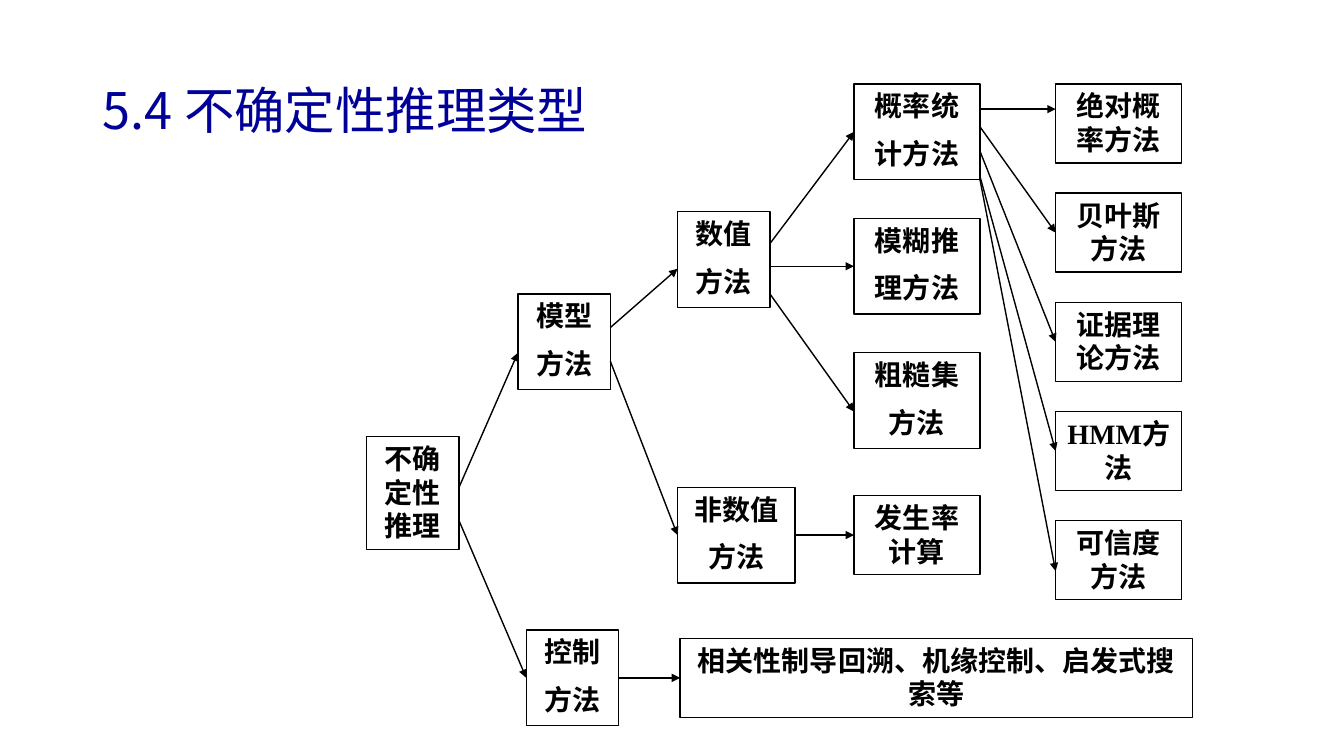
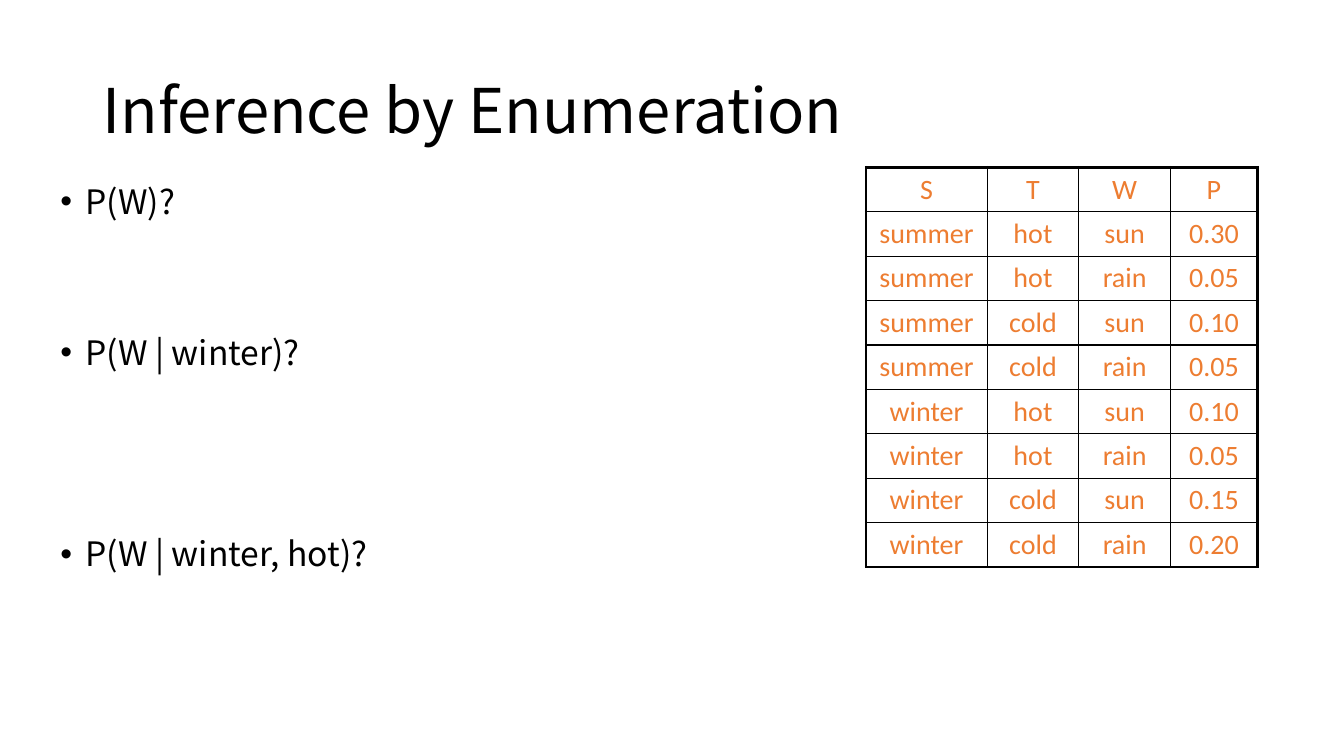
import dataclasses
from typing import Optional, Sequence, Union

import lxml.etree
import pptx
import pptx.dml.color
import pptx.enum.shapes
import pptx.enum.text
import pptx.oxml.ns
import pptx.util

Inches = pptx.util.Inches
Pt = pptx.util.Pt
RGBColor = pptx.dml.color.RGBColor
Align = pptx.enum.text.PP_ALIGN
qn = pptx.oxml.ns.qn

BLACK = RGBColor(0x00, 0x00, 0x00)
NAVY = RGBColor(0x00, 0x00, 0x99)
ORANGE = RGBColor(0xED, 0x7D, 0x31)
SANS = "Noto Sans CJK SC"
SERIF = "Times New Roman"
TABLE_FONT = "Calibri"

SLIDE_WIDTH, SLIDE_HEIGHT = 13.33, 7.5
GRID_ROWS = 90
UNIT = SLIDE_HEIGHT / GRID_ROWS
GRID_LEFT = -0.03
TITLE_LAYOUT, LIST_LAYOUT = 5, 1
LEFT_SIDE, RIGHT_SIDE = 1, 3

WRAPPED, SPACED, TALL = 9.4, 11.4, 13.4


@dataclasses.dataclass(frozen=True)
class Node:
    """A box of the tree; lengths are in grid units."""
    lines: tuple[str, ...]
    column: float
    row: float
    width: float = 15
    height: float = SPACED

    @property
    def right(self) -> float:
        return self.column + self.width

    @property
    def middle(self) -> float:
        return self.row + self.height / 2


@dataclasses.dataclass(frozen=True)
class Arrow:
    """Runs from the right side of one node to the left side of another."""
    source: str
    target: str
    start_row: float
    end_row: float


LEAVES = {"absolute": "绝对概率方法", "bayes": "贝叶斯方法", "evidence": "证据理论方法",
          "hmm": "HMM方法", "certainty": "可信度方法"}
LEAF_STEP = 13

NODES = {
    "uncertain": Node(("不确定性推理",), 44, 52, 11, TALL),
    "model": Node(("模型", "方法"), 62, 35, 11),
    "control": Node(("控制", "方法"), 63, 75, 11),
    "numeric": Node(("数值", "方法"), 81, 25.2, 11),
    "symbolic": Node(("非数值", "方法"), 81, 58, 14),
    "statistics": Node(("概率统", "计方法"), 102, 10),
    "fuzzy": Node(("模糊推", "理方法"), 102, 26),
    "rough": Node(("粗糙集", "方法"), 102, 42),
    "incidence": Node(("发生率计算",), 102, 59, height=WRAPPED),
    "strategies": Node(("相关性制导回溯、机缘控制、启发式搜索等",), 81.3, 76, 61, WRAPPED),
    **{name: Node((text,), 126, 10 + index * LEAF_STEP, height=WRAPPED)
       for index, (name, text) in enumerate(LEAVES.items())},
}

ARROWS = (
    Arrow("uncertain", "model", 58, 42),
    Arrow("uncertain", "control", 62, 80),
    Arrow("model", "numeric", 39, 32),
    Arrow("model", "symbolic", 43, 63),
    Arrow("numeric", "statistics", 29, 16),
    Arrow("numeric", "fuzzy", 31.7, 31.7),
    Arrow("numeric", "rough", 35, 49),
    Arrow("symbolic", "incidence", 64, 64),
    Arrow("control", "strategies", 80.7, 80.7),
    Arrow("statistics", "absolute", 13, 13),
    Arrow("statistics", "bayes", 15.1, 28),
    Arrow("statistics", "evidence", 18, 41),
    Arrow("statistics", "hmm", 21, 54),
    Arrow("statistics", "certainty", 21.4, 68),
)

QUESTIONS = ("P(W)?", "P(W | winter)?", "P(W | winter, hot)?")
QUESTION_GAPS = (0, 82, 118)

TABLE_COLUMNS = (1.2, 0.91, 0.91, 0.86)
TABLE_ROW = 0.44
TABLE_ROWS = (
    ("S", "T", "W", "P"),
    ("summer", "hot", "sun", "0.30"),
    ("summer", "hot", "rain", "0.05"),
    ("summer", "cold", "sun", "0.10"),
    ("summer", "cold", "rain", "0.05"),
    ("winter", "hot", "sun", "0.10"),
    ("winter", "hot", "rain", "0.05"),
    ("winter", "cold", "sun", "0.15"),
    ("winter", "cold", "rain", "0.20"),
)


def grid_x(column: float) -> int:
    return Inches(GRID_LEFT + column * UNIT)


def grid_y(row: float) -> int:
    return Inches(row * UNIT)


def write_text(text_frame, lines: Sequence[str], *, size: float, font: str,
               color: RGBColor = BLACK, bold: bool = False,
               align: Align = Align.LEFT,
               line_spacing: Optional[Union[float, pptx.util.Length]] = None,
               gaps: Sequence[float] = (), hanging: float = 0) -> None:
    """Write one paragraph per line; gaps are the points before each of them."""
    text_frame.word_wrap = True
    for index, line in enumerate(lines):
        paragraph = text_frame.paragraphs[0] if index == 0 else text_frame.add_paragraph()
        paragraph.alignment = align
        paragraph.space_before = Pt(gaps[index] if gaps else 0)
        if line_spacing:
            paragraph.line_spacing = line_spacing
        if hanging:
            properties = paragraph._p.get_or_add_pPr()
            properties.set("marL", str(Inches(hanging)))
            properties.set("indent", str(-Inches(hanging)))
        run = paragraph.add_run()
        run.text = line
        run.font.size = Pt(size)
        run.font.bold = bold
        run.font.color.rgb = color
        run.font.name = font
        east_asian = lxml.etree.SubElement(run._r.get_or_add_rPr(), qn("a:ea"))
        east_asian.set("typeface", SANS)


def place(shape, left: float, top: float, width: float, height: float) -> None:
    shape.left, shape.top = Inches(left), Inches(top)
    shape.width, shape.height = Inches(width), Inches(height)


def add_titled_slide(presentation, layout: int, title: str, *, size: float,
                     color: RGBColor = BLACK):
    slide = presentation.slides.add_slide(presentation.slide_layouts[layout])
    shape = slide.shapes.title
    place(shape, 0.92, 0.4, 11.5, 1.45)
    shape.text_frame.auto_size = pptx.enum.text.MSO_AUTO_SIZE.NONE
    shape.text_frame.vertical_anchor = pptx.enum.text.MSO_ANCHOR.MIDDLE
    write_text(shape.text_frame, [title], size=size, font=SANS, color=color,
               line_spacing=0.9)
    return slide


def add_node(slide, node: Node):
    shape = slide.shapes.add_shape(
        pptx.enum.shapes.MSO_SHAPE.RECTANGLE, grid_x(node.column), grid_y(node.row),
        grid_y(node.width), grid_y(node.height))
    shape.shadow.inherit = False
    shape.fill.background()
    shape.line.color.rgb = BLACK
    shape.line.width = Pt(1)
    shape.text_frame.vertical_anchor = pptx.enum.text.MSO_ANCHOR.TOP
    write_text(shape.text_frame, node.lines, size=20, font=SERIF, bold=True,
               align=Align.CENTER, line_spacing=Pt(24), gaps=(0, 10))
    return shape


def add_arrow(slide, arrow: Arrow, boxes: dict) -> None:
    """Draw an arrow, joined to a box where it meets the middle of its side."""
    source, target = NODES[arrow.source], NODES[arrow.target]
    connector = slide.shapes.add_connector(
        pptx.enum.shapes.MSO_CONNECTOR.STRAIGHT,
        grid_x(source.right), grid_y(arrow.start_row),
        grid_x(target.column), grid_y(arrow.end_row))
    if abs(arrow.start_row - source.middle) < 0.5:
        connector.begin_connect(boxes[arrow.source], RIGHT_SIDE)
    if abs(arrow.end_row - target.middle) < 0.9:
        connector.end_connect(boxes[arrow.target], LEFT_SIDE)
    connector.line.color.rgb = BLACK
    connector.line.width = Pt(1)
    lxml.etree.SubElement(connector.line._get_or_add_ln(), qn("a:tailEnd")).set("type", "triangle")
    lxml.etree.SubElement(connector._element.spPr, qn("a:effectLst"))


def set_borders(cell, widths: dict[str, float]) -> None:
    """Set the cell's lines; widths maps L, R, T, B, in that order, to points."""
    properties = cell._tc.get_or_add_tcPr()
    for index, (side, width) in enumerate(widths.items()):
        line = lxml.etree.Element(qn(f"a:ln{side}"), w=str(Pt(width)))
        fill = lxml.etree.SubElement(line, qn("a:solidFill"))
        lxml.etree.SubElement(fill, qn("a:srgbClr")).set("val", str(BLACK))
        properties.insert(index, line)


def add_probability_table(slide) -> None:
    row_count, column_count = len(TABLE_ROWS), len(TABLE_COLUMNS)
    table = slide.shapes.add_table(
        row_count, column_count, Inches(8.59), Inches(1.66),
        Inches(sum(TABLE_COLUMNS)), Inches(TABLE_ROW * row_count)).table
    table.first_row = table.horz_banding = False
    for column, width in zip(table.columns, TABLE_COLUMNS):
        column.width = Inches(width)
    for row_index, values in enumerate(TABLE_ROWS):
        table.rows[row_index].height = Inches(TABLE_ROW)
        for column_index, value in enumerate(values):
            cell = table.cell(row_index, column_index)
            cell.fill.background()
            write_text(cell.text_frame, [value], size=20, font=TABLE_FONT,
                       color=ORANGE, align=Align.CENTER)
            outer = {"L": column_index == 0, "R": column_index == column_count - 1,
                     "T": row_index == 0, "B": row_index == row_count - 1}
            set_borders(cell, {side: 2.25 if edge else 1 for side, edge in outer.items()})


def build_types_slide(presentation) -> None:
    slide = add_titled_slide(presentation, TITLE_LAYOUT, "5.4 不确定性推理类型",
                             size=36, color=NAVY)
    boxes = {name: add_node(slide, node) for name, node in NODES.items()}
    for arrow in ARROWS:
        add_arrow(slide, arrow, boxes)


def build_enumeration_slide(presentation) -> None:
    slide = add_titled_slide(presentation, LIST_LAYOUT, "Inference by Enumeration", size=44)
    body = slide.placeholders[1]
    place(body, 0.5, 1.78, 4.42, 4.95)
    body.text_frame.auto_size = pptx.enum.text.MSO_AUTO_SIZE.NONE
    write_text(body.text_frame, QUESTIONS, size=24, font=SANS, line_spacing=Pt(26),
               gaps=QUESTION_GAPS, hanging=0.25)
    add_probability_table(slide)


def main() -> None:
    presentation = pptx.Presentation()
    presentation.slide_width = Inches(SLIDE_WIDTH)
    presentation.slide_height = Inches(SLIDE_HEIGHT)
    build_types_slide(presentation)
    build_enumeration_slide(presentation)
    presentation.save("out.pptx")


if __name__ == "__main__":
    main()
